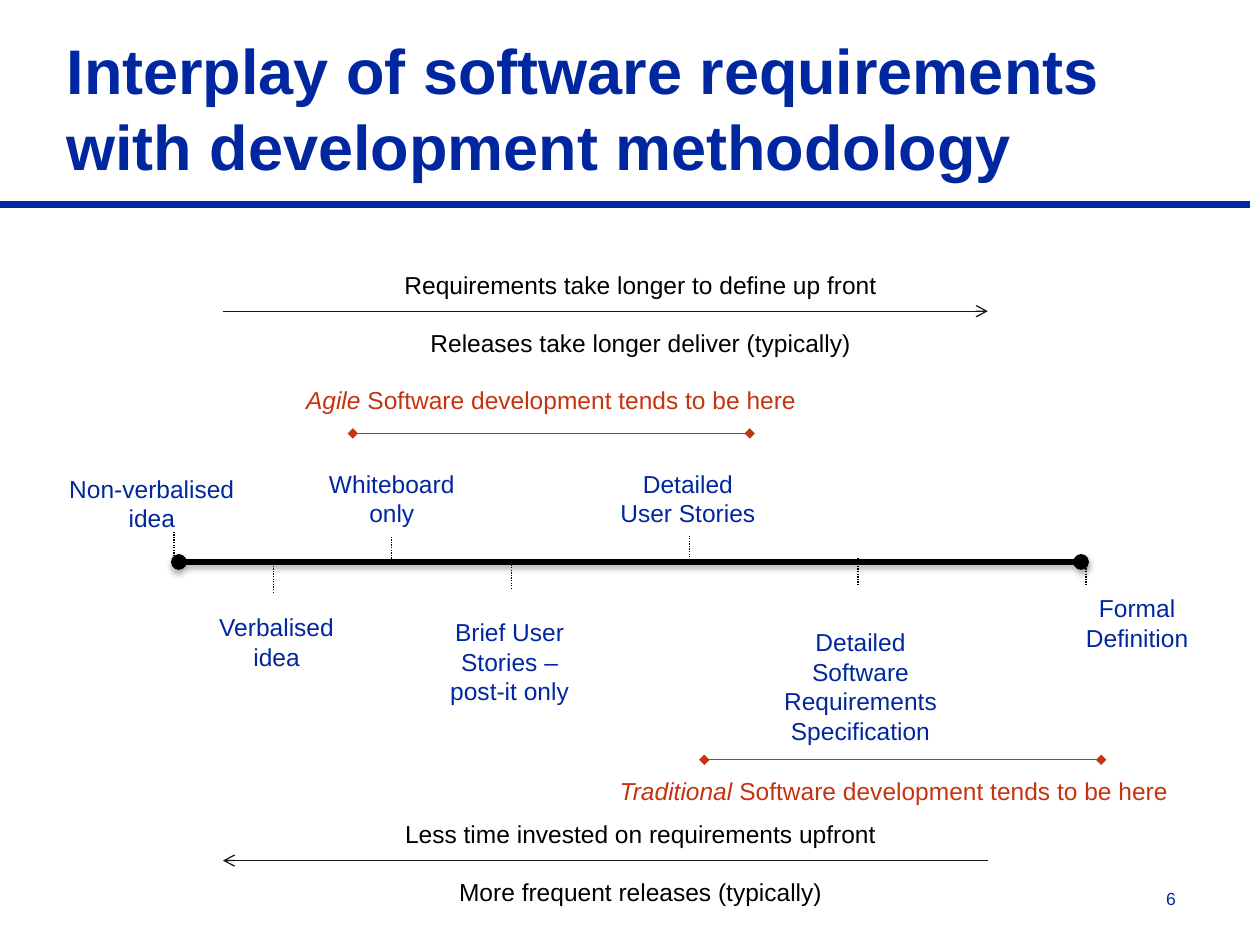
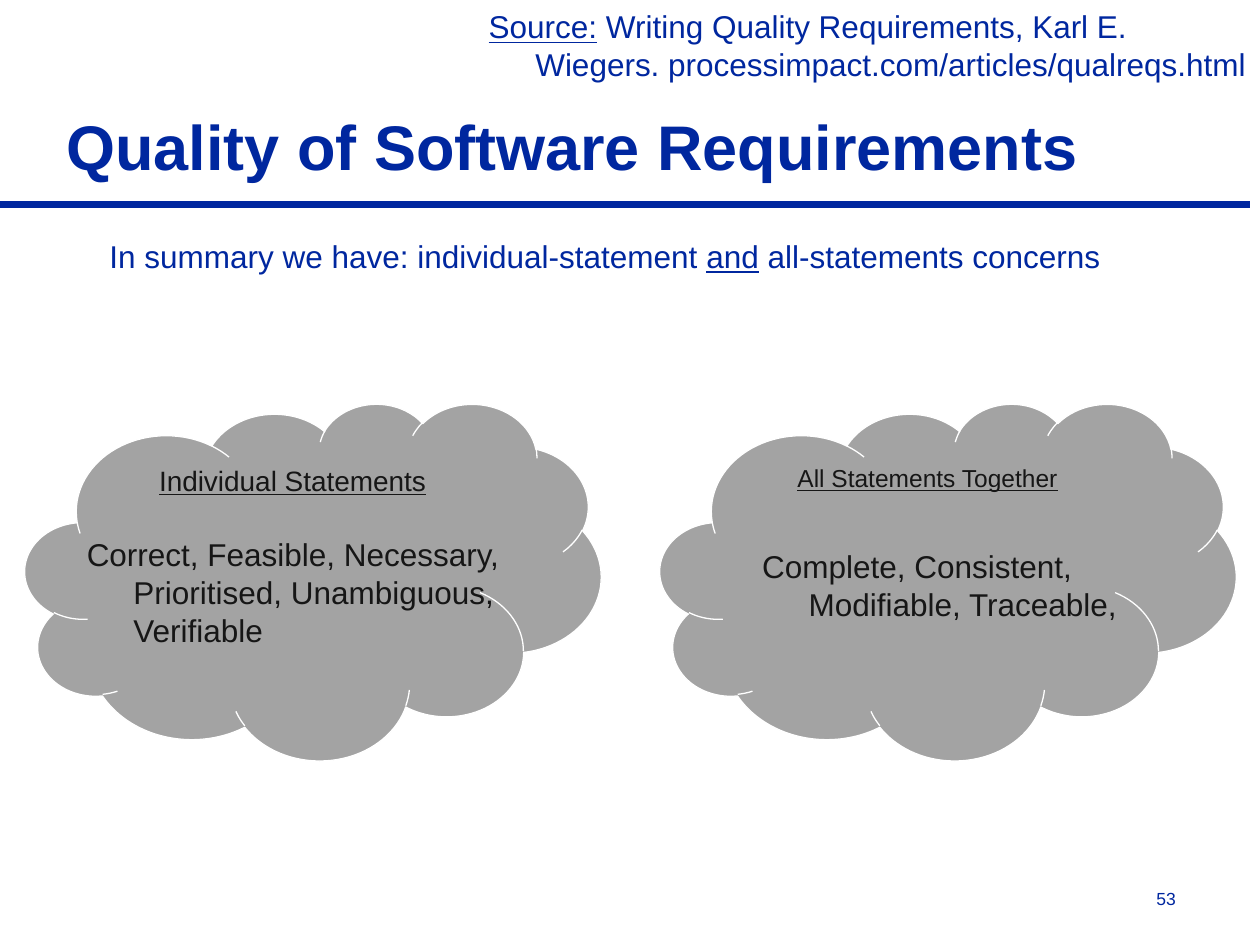
from dataclasses import dataclass
from lxml.etree import SubElement
from pptx import Presentation
from pptx.dml.color import RGBColor
from pptx.enum.dml import MSO_LINE
from pptx.enum.shapes import MSO_CONNECTOR, MSO_SHAPE
from pptx.enum.text import MSO_ANCHOR, PP_ALIGN
from pptx.oxml.ns import qn
from pptx.util import Inches, Pt


@dataclass(frozen=True)
class Theme:
    font: str = "Arial"
    blue: str = "00279F"
    red: str = "C6330F"
    black: str = "000000"
    ink: str = "161616"
    grey: str = "A3A3A3"
    white: str = "FFFFFF"
    title: int = 36
    body: int = 18
    head: int = 16
    label: int = 14
    foot: int = 10
    thin: float = 0.75
    hang: float = 0.37


class Deck:
    def __init__(self, theme):
        self.theme = theme
        self.file = Presentation()
        self.file.slide_width = Inches(10)
        self.file.slide_height = Inches(7.5)
        self.slide = None

    def page(self, title, number):
        theme = self.theme
        self.slide = self.file.slides.add_slide(self.file.slide_layouts[6])
        self.line((0, 1.62), (9.92, 1.62), theme.blue, 4)
        self.text((8.94, 7, 0.49, 0.27), [number], theme.foot, align=PP_ALIGN.RIGHT)
        self.text((0.43, 0.29, 8.91, 1.21), [title], theme.title,
                  anchor=MSO_ANCHOR.BOTTOM, bold=True)

    def fill_in(self, frame, runs, size, color, align, anchor=MSO_ANCHOR.TOP, **style):
        frame.word_wrap = True
        frame.vertical_anchor = anchor
        part = frame.paragraphs[0]
        part.alignment = align
        for item in runs:
            words, extra = (item, {}) if isinstance(item, str) else item
            run = part.add_run()
            run.text = words
            run.font.color.rgb = RGBColor.from_string(color)
            form = {"name": self.theme.font, "size": Pt(size), **style, **extra}
            for key, value in form.items():
                setattr(run.font, key, value)
        return part

    def text(self, area, runs, size, color=None, align=PP_ALIGN.LEFT, hang=False, **style):
        box = self.slide.shapes.add_textbox(*map(Inches, area))
        part = self.fill_in(box.text_frame, runs, size, color or self.theme.blue, align, **style)
        if hang:
            step = Inches(self.theme.hang)
            props = part._p.get_or_add_pPr()
            props.set("marL", str(step))
            props.set("indent", str(-step))

    def label(self, area, runs, color=None):
        self.text(area, runs, self.theme.label, color, PP_ALIGN.CENTER)

    def line(self, start, end, color, width=None, head=None, tail=None, dash=None, shade=False):
        link = self.slide.shapes.add_connector(
            MSO_CONNECTOR.STRAIGHT, *map(Inches, (*start, *end)))
        link.line.color.rgb = RGBColor.from_string(color)
        link.line.width = Pt(width or self.theme.thin)
        if dash:
            link.line.dash_style = dash
        props = link._element.spPr
        for tag, kind in (("a:headEnd", head), ("a:tailEnd", tail)):
            if kind:
                SubElement(props.find(qn("a:ln")), qn(tag), type=kind)
        effect = SubElement(props, qn("a:effectLst"))
        if shade:
            cast = SubElement(effect, qn("a:outerShdw"), blurRad=str(Pt(3.1)),
                              dist=str(Pt(1.8)), dir="5400000", rotWithShape="0")
            tone = SubElement(cast, qn("a:srgbClr"), val=self.theme.black)
            SubElement(tone, qn("a:alpha"), val="35000")

    def cloud(self, left, title, size):
        theme = self.theme
        shape = self.slide.shapes.add_shape(
            MSO_SHAPE.CLOUD, *map(Inches, (left, 3.2, 4.57, 2.83)))
        shape.shadow.inherit = False
        shape.fill.solid()
        shape.fill.fore_color.rgb = RGBColor.from_string(theme.grey)
        shape.line.color.rgb = RGBColor.from_string(theme.white)
        shape.line.width = Pt(theme.thin)
        self.fill_in(shape.text_frame, [title], size, theme.ink, PP_ALIGN.CENTER, underline=True)


def draw_scale(deck):
    theme = deck.theme
    deck.page("Interplay of software requirements with development methodology", "6")
    deck.line((1.42, 4.46), (8.58, 4.46), theme.black, 3, "oval", "oval", shade=True)

    stages = (
        ("Non-verbalised idea", (0.41, 3.71, 1.59, 0.59), (1.38, 4.22)),
        ("Verbalised idea", (1.59, 4.81, 1.21, 0.59), (2.17, 4.49)),
        ("Whiteboard only", (2.48, 3.67, 1.26, 0.59), (3.11, 4.26)),
        ("Brief User Stories – post-it only", (3.41, 4.85, 1.27, 0.87), (4.06, 4.46)),
        ("Detailed User Stories", (4.81, 3.67, 1.3, 0.55), (5.47, 4.25)),
        ("Detailed Software Requirements Specification", (6.06, 4.93, 1.54, 1.07), (6.81, 4.43)),
        ("Formal Definition", (8.23, 4.66, 1.59, 0.59), (8.62, 4.43)),
    )
    for name, area, (left, top) in stages:
        deck.label(area, [name])
        deck.line((left, top), (left, top + 0.21), theme.black, dash=MSO_LINE.ROUND_DOT)

    trends = (
        (2.47, "Requirements take longer to define up front",
         "Releases take longer deliver (typically)", {"tail": "arrow"}),
        (6.83, "Less time invested on requirements upfront",
         "More frequent releases (typically)", {"head": "arrow"}),
    )
    for top, above, below, ends in trends:
        deck.line((1.77, top), (7.84, top), theme.ink, **ends)
        deck.label((2.8, top - 0.38, 4.57, 0.38), [above], theme.black)
        deck.label((2.8, top + 0.08, 4.57, 0.38), [below], theme.black)

    ranges = (
        ("Agile", (2.8, 3.44), (2.09, 3.01)),
        ("Traditional", (5.59, 6.03), (4.81, 6.11)),
    )
    for name, (left, top), place in ranges:
        deck.line((left, top), (left + 3.15, top), theme.red, head="diamond", tail="diamond")
        deck.label((*place, 4.57, 0.38),
                   [(name, {"italic": True}), " Software development tends to be here"], theme.red)


def draw_clouds(deck):
    theme = deck.theme
    under = {"underline": True}
    deck.page("Quality of Software Requirements", "53")
    deck.text((0.77, 1.83, 8.56, 0.5),
              ["In summary we have: individual-statement ", ("and", under),
               " all-statements concerns"], theme.body, hang=True)
    deck.text((3.78, 0.01, 6.22, 0.66),
              [("Source:", under), " Writing Quality Requirements, Karl E. Wiegers. "
               "processimpact.com/articles/qualreqs.html"], theme.body, hang=True)

    groups = (
        (0.2, "Individual Statements", theme.head, (0.59, 4.2, 3.62, 2),
         "Correct, Feasible, Necessary, Prioritised, Unambiguous, Verifiable"),
        (5.24, "All Statements Together", theme.label, (5.95, 4.29, 3.62, 0.76),
         "Complete, Consistent, Modifiable, Traceable,"),
    )
    for left, title, size, area, words in groups:
        deck.cloud(left, title, size)
        deck.text(area, [words], theme.body, theme.ink, hang=True)


def main():
    deck = Deck(Theme())
    draw_scale(deck)
    draw_clouds(deck)
    deck.file.save("out.pptx")


if __name__ == "__main__":
    main()
